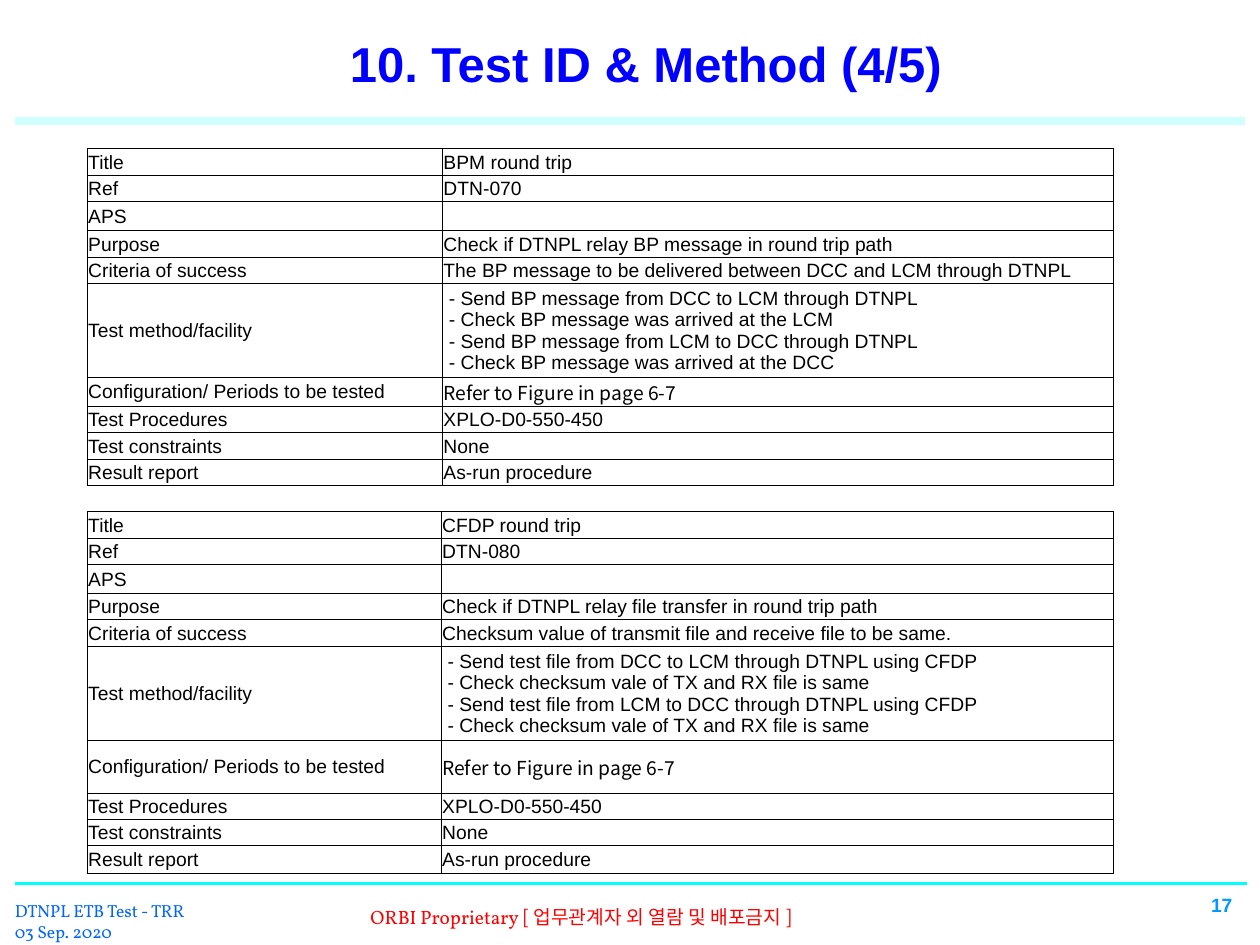
from lxml.etree import SubElement
from pptx import Presentation
from pptx.dml.color import RGBColor as RGB
from pptx.enum.text import MSO_ANCHOR as ANCHOR, PP_ALIGN as ALIGN
from pptx.oxml import parse_xml
from pptx.oxml.ns import nsdecls, qn
from pptx.util import Inches, Pt

# Grid of 100 columns by 75 rows
CELL = Inches(0.1)
COLORS = {"title": "0000FF", "rule": "00FFFF", "date": "0066FF",
          "notice": "FF0000", "number": "0099FF", "table": "000000"}
ARIAL, NOTO, VOLLKORN = "Arial", "Noto Sans CJK KR", "Vollkorn"


def grid(*values):
    return [round(value * CELL) for value in values]


def add_run(paragraph, text, color, **formats):
    """Add text, with each vertical tab as a line break."""
    for index, line in enumerate(text.split("\v")):
        if index:
            paragraph.add_line_break()
        run = paragraph.add_run()
        run.text = line
        run.font.color.rgb = RGB.from_string(COLORS[color])
        for name, value in formats.items():
            setattr(run.font, name, value)
        if formats["name"] == NOTO:
            SubElement(run.font._element, qn("a:ea"), typeface=NOTO)


presentation = Presentation()
presentation.slide_width, presentation.slide_height = grid(100, 75)
slide = presentation.slides.add_slide(presentation.slide_layouts[5])
shapes = slide.shapes

# Title
title = shapes.title
title.left, title.top, title.width, title.height = grid(15.4, 1.3, 71.7, 7.9)
title.text_frame.vertical_anchor = ANCHOR.MIDDLE
paragraph = title.text_frame.paragraphs[0]
paragraph.alignment, paragraph.line_spacing = ALIGN.CENTER, 0.9
add_run(paragraph, "10. Test ID & Method (4/5)", "title",
        name=ARIAL, size=Pt(28), bold=True)

# Rules under the title and above the footer
for row, right, width, opacity in [(9.6, 98.8, 4.5, 18), (70.1, 99, 1.5, 100)]:
    rule = shapes.add_connector(1, *grid(1.2, row, right, row))
    rule.line.width = Pt(width)
    rule.line.color.rgb = RGB.from_string(COLORS["rule"])
    color = rule._element.spPr.find(".//" + qn("a:srgbClr"))
    SubElement(color, qn("a:alpha"), val=str(opacity * 1000))
    SubElement(rule._element.spPr, qn("a:effectLst"))

# Footer: place, left inset, alignment, line spacing, colour, size, bold, lines
footers = [
    ((23.2, 71.3, 62.2, 2.9), 6.2, ALIGN.LEFT, 1, "notice", 11, False,
     [[("ORBI Proprietary ", VOLLKORN), ("[ 업무관계자 외 열람 및 배포금지 ]", NOTO)]]),
    ((0.2, 70.9, 16.6, 4.4), 1, ALIGN.LEFT, 1, "date", 10, False,
     [[("DTNPL ETB Test - TRR", VOLLKORN)], [("03 Sep. 2020", VOLLKORN)]]),
    ((78, 70.2, 20.8, 3.5), 1, ALIGN.RIGHT, 0.8, "number", 11, True,
     [[("17", ARIAL)]]),
]
for place, inset, alignment, spacing, color, size, bold, lines in footers:
    frame = shapes.add_textbox(*grid(*place)).text_frame
    frame.word_wrap, frame.vertical_anchor = True, ANCHOR.MIDDLE
    frame.margin_left = grid(inset)[0]
    frame.margin_top = frame.margin_bottom = 0
    for index, line in enumerate(lines):
        paragraph = frame.add_paragraph() if index else frame.paragraphs[0]
        paragraph.alignment, paragraph.line_spacing = alignment, spacing
        for text, font in line:
            add_run(paragraph, text, color, name=font, size=Pt(size), bold=bold)

# Test tables: top, column widths, changed row heights, differing entries
LABELS = ["Title", "Ref", "APS", "Purpose", "Criteria of success",
          "Test method/facility", "Configuration/ Periods to be tested",
          "Test Procedures", "Test constraints", "Result report"]
COMMON = ["Refer to Figure in page 6-7", "XPLO-D0-550-450", "None",
          "As-run procedure"]
tests = [
    (11.8, (28.2, 53.3), {2: 2.3, 5: 7, 6: 2.3},
     ["BPM round trip", "DTN-070", "",
      "Check if DTNPL relay BP message in round trip path",
      "The BP message to be delivered between DCC and LCM through DTNPL",
      " - Send BP message from DCC to LCM through DTNPL\v"
      " - Check BP message was arrived at the LCM\v"
      " - Send BP message from LCM to DCC through DTNPL\v"
      " - Check BP message was arrived at the DCC"]),
    (40.6, (28.1, 53.4), {2: 2.3, 5: 7, 6: 4.2, 9: 2.2},
     ["CFDP round trip", "DTN-080", "",
      "Check if DTNPL relay file transfer in round trip path",
      "Checksum value of transmit file and receive file to be same.",
      " - Send test file from DCC to LCM through DTNPL using CFDP\v"
      " - Check checksum vale of TX and RX file is same\v"
      " - Send test file from LCM to DCC through DTNPL using CFDP\v"
      " - Check checksum vale of TX and RX file is same"]),
]
cell_format = {"margin_left": Inches(0.01), "margin_right": Inches(0.01),
               "margin_top": Inches(0.01), "margin_bottom": 0,
               "vertical_anchor": ANCHOR.MIDDLE}
for top, widths, tall_rows, entries in tests:
    heights = [tall_rows.get(row, 2.1) for row in range(len(LABELS))]
    place = grid(6.9, top, sum(widths), sum(heights))
    table = shapes.add_table(len(LABELS), 2, *place).table
    table.first_row = table.horz_banding = False
    for column, width in zip(table.columns, grid(*widths)):
        column.width = width
    for row, height in zip(table.rows, grid(*heights)):
        row.height = height
    for row, texts in enumerate(zip(LABELS, entries + COMMON)):
        for column, text in enumerate(texts):
            cell = table.cell(row, column)
            for name, value in cell_format.items():
                setattr(cell, name, value)
            for side in ("lnL", "lnR", "lnT", "lnB"):
                cell._tc.tcPr.append(parse_xml(
                    f'<a:{side} {nsdecls("a")} w="{Pt(0.5)}"><a:solidFill>'
                    f'<a:srgbClr val="{COLORS["table"]}"/></a:solidFill></a:{side}>'))
            cell.fill.background()
            paragraph = cell.text_frame.paragraphs[0]
            if text:
                font = NOTO if text == COMMON[0] else ARIAL
                add_run(paragraph, text, "table", name=font, size=Pt(11))
            else:
                SubElement(paragraph._p, qn("a:endParaRPr"), sz="1100")

presentation.save("out.pptx")
